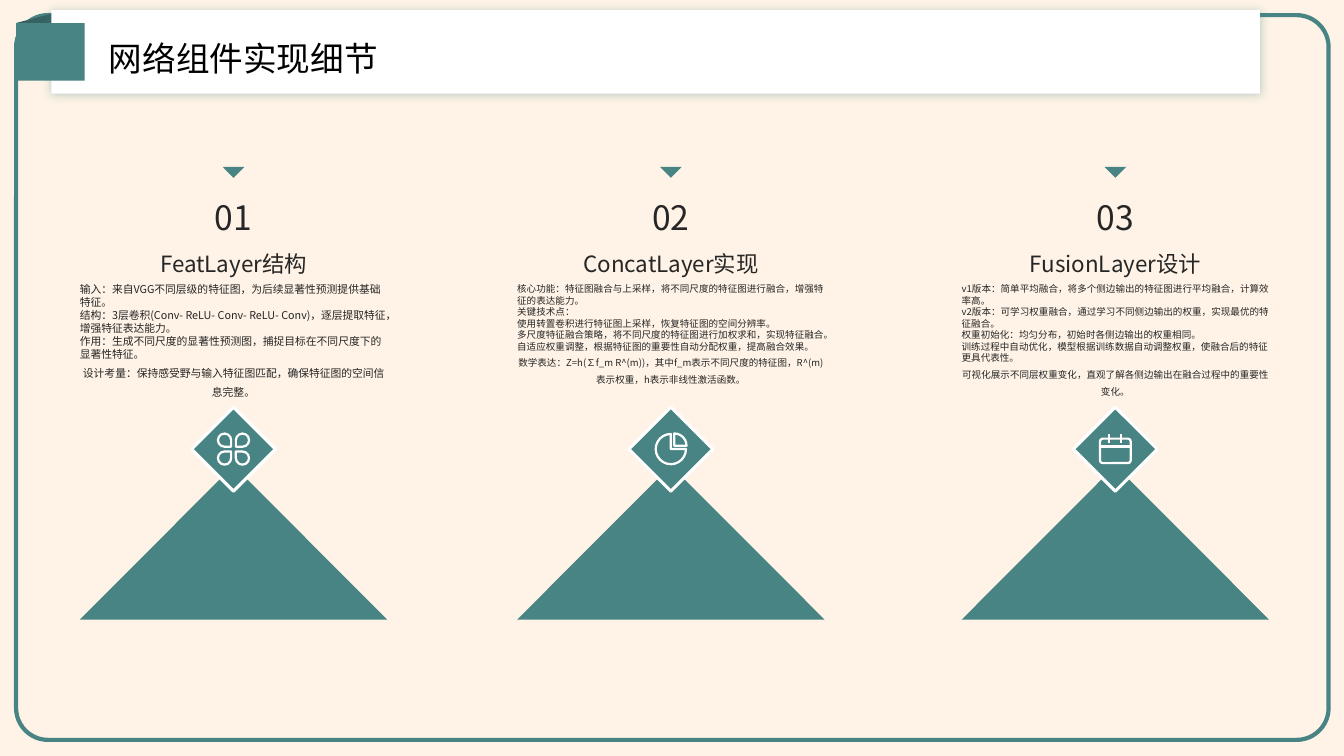
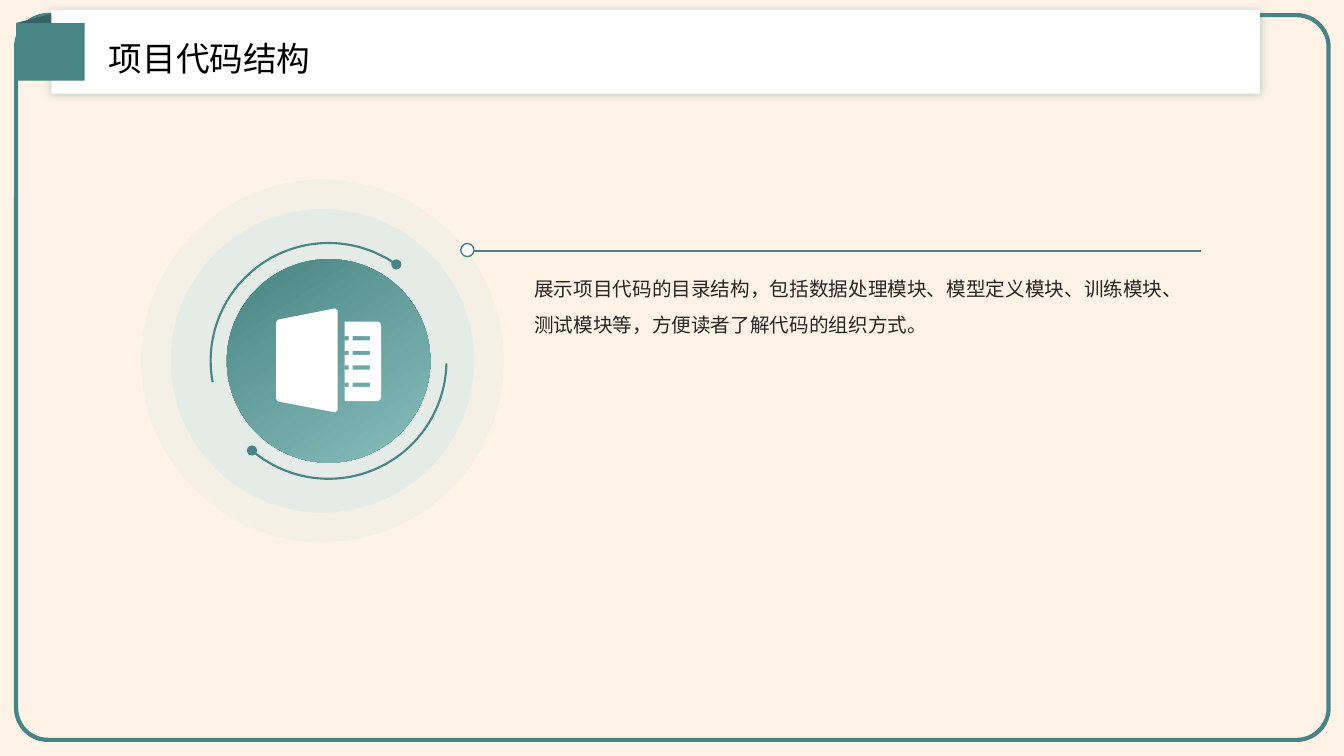
from dataclasses import dataclass
from math import cos, radians, sin

from lxml import etree
from pptx import Presentation
from pptx.dml import color as colors
from pptx.enum import shapes, text
from pptx.oxml import ns
from pptx.util import Pt

KIND = shapes.MSO_SHAPE
ALIGN = text.PP_ALIGN
ANCHOR = text.MSO_ANCHOR


@dataclass(frozen=True)
class Theme:
    font: str = "Noto Sans CJK SC"
    paper: str = "FEF3E6"
    teal: str = "488483"
    fold: str = "366362"
    mist: str = "88BEBD"
    halo: str = "D7E9E9"
    white: str = "FFFFFF"
    ink: str = "262626"
    black: str = "000000"
    title: float = 24
    number: float = 24
    heading: float = 16
    summary: float = 14
    detail: float = 7.7
    detail_small: float = 6.8


THEME = Theme()
COLUMN_LEFTS = (57, 369.4, 686.9)
LAYERS = (
    ("FeatLayer结构", THEME.detail, (
        "输入：来自VGG不同层级的特征图，为后续显著性预测提供基础特征。",
        "结构：3层卷积(Conv- ReLU- Conv- ReLU- Conv)，逐层提取特征，增强特征表达能力。",
        "作用：生成不同尺度的显著性预测图，捕捉目标在不同尺度下的显著性特征。",
        "设计考量：保持感受野与输入特征图匹配，确保特征图的空间信息完整。")),
    ("ConcatLayer实现", THEME.detail_small, (
        "核心功能：特征图融合与上采样，将不同尺度的特征图进行融合，增强特征的表达能力。",
        "关键技术点：",
        "使用转置卷积进行特征图上采样，恢复特征图的空间分辨率。",
        "多尺度特征融合策略，将不同尺度的特征图进行加权求和，实现特征融合。",
        "自适应权重调整，根据特征图的重要性自动分配权重，提高融合效果。",
        "数学表达：Z=h(∑f_m R^(m))，其中f_m表示不同尺度的特征图，R^(m)表示权重，h表示非线性激活函数。")),
    ("FusionLayer设计", THEME.detail_small, (
        "v1版本：简单平均融合，将多个侧边输出的特征图进行平均融合，计算效率高。",
        "v2版本：可学习权重融合，通过学习不同侧边输出的权重，实现最优的特征融合。",
        "权重初始化：均匀分布，初始时各侧边输出的权重相同。",
        "训练过程中自动优化，模型根据训练数据自动调整权重，使融合后的特征更具代表性。",
        "可视化展示不同层权重变化，直观了解各侧边输出在融合过程中的重要性变化。")),
)


def rgb(code):
    return colors.RGBColor.from_string(code)


def child(parent, tag, **attributes):
    return etree.SubElement(parent, ns.qn(tag), **attributes)


def paint(shape, fill=None, line=None, weight=1.0, alpha=None):
    shape.shadow.inherit = False
    if fill:
        shape.fill.solid()
        shape.fill.fore_color.rgb = rgb(fill)
    else:
        shape.fill.background()
    if alpha:
        tint = shape._element.spPr.find(".//" + ns.qn("a:srgbClr"))
        child(tint, "a:alpha", val=str(alpha * 1000))
    if line:
        shape.line.color.rgb = rgb(line)
        shape.line.width = Pt(weight)
    else:
        shape.line.fill.background()
    return shape


def draw(slide, kind, box, **style):
    return paint(slide.shapes.add_shape(kind, *map(Pt, box)), **style)


def disc(slide, x, y, radius, **style):
    return draw(slide, KIND.OVAL, (x - radius, y - radius, 2 * radius, 2 * radius), **style)


def rule(slide, start, end, color, weight):
    link = slide.shapes.add_connector(shapes.MSO_CONNECTOR.STRAIGHT, *map(Pt, start + end))
    link.line.color.rgb = rgb(color)
    link.line.width = Pt(weight)
    child(link._element.spPr, "a:effectLst")


def polygons(slide, left, top, outlines, color):
    builder = None
    for outline in outlines:
        points = [(Pt(left + x), Pt(top + y)) for x, y in outline]
        if builder is None:
            builder = slide.shapes.build_freeform(*points[0], scale=1.0)
        else:
            builder.move_to(*points[0])
        builder.add_line_segments(points[1:], close=True)
    paint(builder.convert_to_shape(), fill=color)


def rectangle(x, y, width, height):
    return [(x, y), (x + width, y), (x + width, y + height), (x, y + height)]


def write(holder, box, lines, size, leading, color=THEME.ink, align=ALIGN.LEFT, anchor=ANCHOR.TOP):
    holder.left, holder.top, holder.width, holder.height = map(Pt, box)
    frame = holder.text_frame
    frame.text = "\n".join(lines)
    frame.word_wrap = True
    frame.auto_size = text.MSO_AUTO_SIZE.NONE
    frame.vertical_anchor = anchor
    frame.margin_left = frame.margin_top = frame.margin_right = frame.margin_bottom = 0
    for paragraph in frame.paragraphs:
        properties = paragraph._p.get_or_add_pPr()
        properties.set("marL", "0")
        properties.set("indent", "0")
        child(properties, "a:buNone")
        paragraph.alignment = align
        paragraph.space_before = paragraph.space_after = Pt(0)
        paragraph.line_spacing = Pt(round(size * leading, 1))
        for run in paragraph.runs:
            run.font.size = Pt(size)
            run.font.bold = False
            run.font.color.rgb = rgb(color)
            run.font.name = THEME.font
            child(run._r.get_or_add_rPr(), "a:ea", typeface=THEME.font)
    return frame


def label(slide, box, words, size, leading, **style):
    write(slide.shapes.add_textbox(*map(Pt, box)), box, [words], size, leading, **style)


def start_slide(deck, layout, title):
    slide = deck.slides.add_slide(deck.slide_layouts[layout])
    frame = draw(slide, KIND.ROUNDED_RECTANGLE, (11.5, 10.8, 937.5, 517.7), line=THEME.teal, weight=3)
    frame.adjustments[0] = 0.044
    draw(slide, KIND.RECTANGLE, (15.8, 11.5, 33.8, 33.8), fill=THEME.fold).rotation = 345.4
    banner = draw(slide, KIND.RECTANGLE, (36.7, 7.2, 863.3, 59.8), fill=THEME.white)
    effects = banner._element.spPr.find(ns.qn("a:effectLst"))
    shadow = child(effects, "a:outerShdw", blurRad=str(Pt(7)), dist="0", dir="0", algn="ctr", rotWithShape="0")
    child(child(shadow, "a:srgbClr", val=THEME.teal), "a:alpha", val="36000")
    draw(slide, KIND.RECTANGLE, (11.5, 16.6, 49, 41), fill=THEME.teal)
    write(slide.shapes.title, (77.8, 17.3, 612.7, 38.9), [title], THEME.title, 1.6,
          color=THEME.black, anchor=ANCHOR.MIDDLE)
    for holder in slide.placeholders:
        slide.shapes._spTree.append(holder._element)
    return slide


def clover_icon(slide, x, y):
    petal, reach = 9.4, 6.4
    for side, rise, turn in ((-1, -1, 90), (1, -1, 180), (1, 1, 270), (-1, 1, 0)):
        box = (x + side * reach - petal / 2, y + rise * reach - petal / 2, petal, petal)
        draw(slide, KIND.TEAR, box, line=THEME.white, weight=1.6).rotation = turn


def pie_icon(slide, x, y):
    for shift, radius, start, end in ((0, 10.8, 0, 270), (2.4, 8.8, 270, 0)):
        box = (x + shift - radius, y - shift - radius, 2 * radius, 2 * radius)
        wedge = draw(slide, KIND.PIE, box, line=THEME.white, weight=1.6)
        wedge.adjustments[0], wedge.adjustments[1] = start * 0.6, end * 0.6


def calendar_icon(slide, x, y):
    page = draw(slide, KIND.ROUNDED_RECTANGLE, (x - 11, y - 7.5, 22, 17.5), line=THEME.white, weight=1.6)
    page.adjustments[0] = 0.12
    rule(slide, (x - 11, y - 1.8), (x + 11, y - 1.8), THEME.white, 1.6)
    for tick in (x - 4.3, x + 4.3):
        rule(slide, (tick, y - 10.5), (tick, y - 4.5), THEME.white, 1.6)


def layer_column(slide, box, number, layer, details, icon):
    left, top, width, height = box
    heading, size, lines = layer
    middle = left + width / 2
    draw(slide, KIND.FLOWCHART_MERGE, (middle - 7.7, top, 15.4, 7.7), fill=THEME.teal)
    label(slide, (middle - 75, top + 19, 150, 32), f"{number:02}", THEME.number, 1.3, align=ALIGN.CENTER)
    label(slide, (left, top + 56, width, 22.5), heading, THEME.heading, 1.3,
          align=ALIGN.CENTER, anchor=ANCHOR.BOTTOM)
    closing = write(details, (left, top + 83, width, 88.6), lines, size, 1.2).paragraphs[-1]
    closing.alignment = ALIGN.CENTER
    closing.line_spacing = Pt(round(size * 1.77, 1))
    draw(slide, KIND.ISOSCELES_TRIANGLE, (left, top + height - 110, width, 110), fill=THEME.teal)
    center = top + 201.5
    draw(slide, KIND.DIAMOND, (middle - 30, center - 30, 60, 60),
         fill=THEME.teal, line=THEME.white, weight=2.25)
    icon(slide, middle, center)


def components_slide(deck):
    slide = start_slide(deck, 4, "网络组件实现细节")
    *details, spare = list(slide.placeholders)[1:]
    spare._element.getparent().remove(spare._element)
    icons = (clover_icon, pie_icon, calendar_icon)
    for number, (left, layer, detail, icon) in enumerate(zip(COLUMN_LEFTS, LAYERS, details, icons), 1):
        layer_column(slide, (left, 119.3, 219.6, 323.3), number, layer, detail, icon)


def folder_icon(slide, left, top):
    door = [(0, 10), (1.5, 8), (42, 0), (44, 1.5), (44, 72.7), (42, 74.2), (1.5, 66.5), (0, 64.5)]
    page = [(49, 9.4), (72.5, 9.4), (74.3, 10.2), (75, 12), (75, 63.5), (74.3, 65.4), (72.5, 66.2), (49, 66.2)]
    slots = [rectangle(x, y, width, 3)
             for y in (19.8, 30.3, 40.7, 53) for x, width in ((49, 2.8), (54.7, 12.3))]
    polygons(slide, left, top, [door, page, *slots], THEME.white)


def code_emblem(slide, box):
    left, top, size = box
    x, y, orbit = left + size / 2, top + size / 2, 84.2
    disc(slide, x - 4.3, y, 129.6, fill=THEME.halo, alpha=24)
    disc(slide, x - 4.3, y, 108.4, fill=THEME.halo, alpha=51)
    for start, end, tip in ((1.2, 130.5, 130.5), (169.6, 305.1, 305.1)):
        arc = draw(slide, KIND.ARC, (x - orbit, y - orbit, 2 * orbit, 2 * orbit), line=THEME.teal, weight=1.5)
        arc.adjustments[0], arc.adjustments[1] = start * 0.6, end * 0.6
        angle = radians(tip)
        disc(slide, x + orbit * cos(angle), y + orbit * sin(angle), 3.6, fill=THEME.teal)
    core = disc(slide, x, y, 72.7, fill=THEME.teal)
    core.fill.gradient()
    core.fill.gradient_angle = 303
    for stop, shade in zip(core.fill.gradient_stops, (THEME.teal, THEME.mist)):
        stop.color.rgb = rgb(shade)
    folder_icon(slide, x - 37.5, y - 37.5)


def code_summary(slide, box, body):
    left, top, width, height = box
    rule(slide, (left, top), (left + width, top), THEME.teal, 1.5)
    disc(slide, left, top - 0.7, 4.7, fill=THEME.white, line=THEME.teal, weight=1)
    write(body, (left + 47.8, top + 10.5, 464.4, height - 10.5),
          ["展示项目代码的目录结构，包括数据处理模块、模型定义模块、训练模块、测试模块等，方便读者了解代码的组织方式。"],
          THEME.summary, 1.79)


def code_slide(deck):
    slide = start_slide(deck, 1, "项目代码结构")
    code_emblem(slide, (105.1, 128.2, 259.2))
    code_summary(slide, (333.8, 179.3, 524.4, 200.8), slide.placeholders[1])


def main():
    deck = Presentation()
    deck.slide_width, deck.slide_height = Pt(960), Pt(540)
    backdrop = deck.slide_master.background.fill
    backdrop.solid()
    backdrop.fore_color.rgb = rgb(THEME.paper)
    components_slide(deck)
    code_slide(deck)
    deck.save("out.pptx")


if __name__ == "__main__":
    main()
